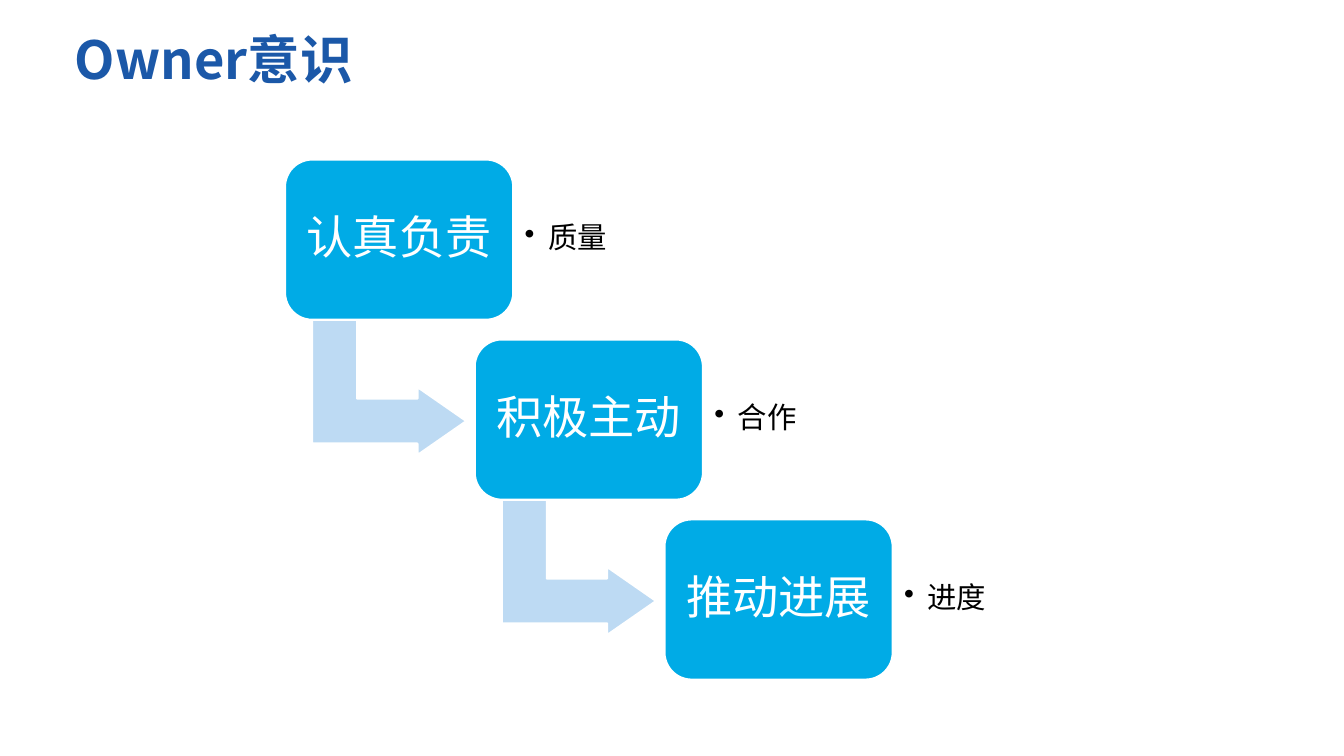
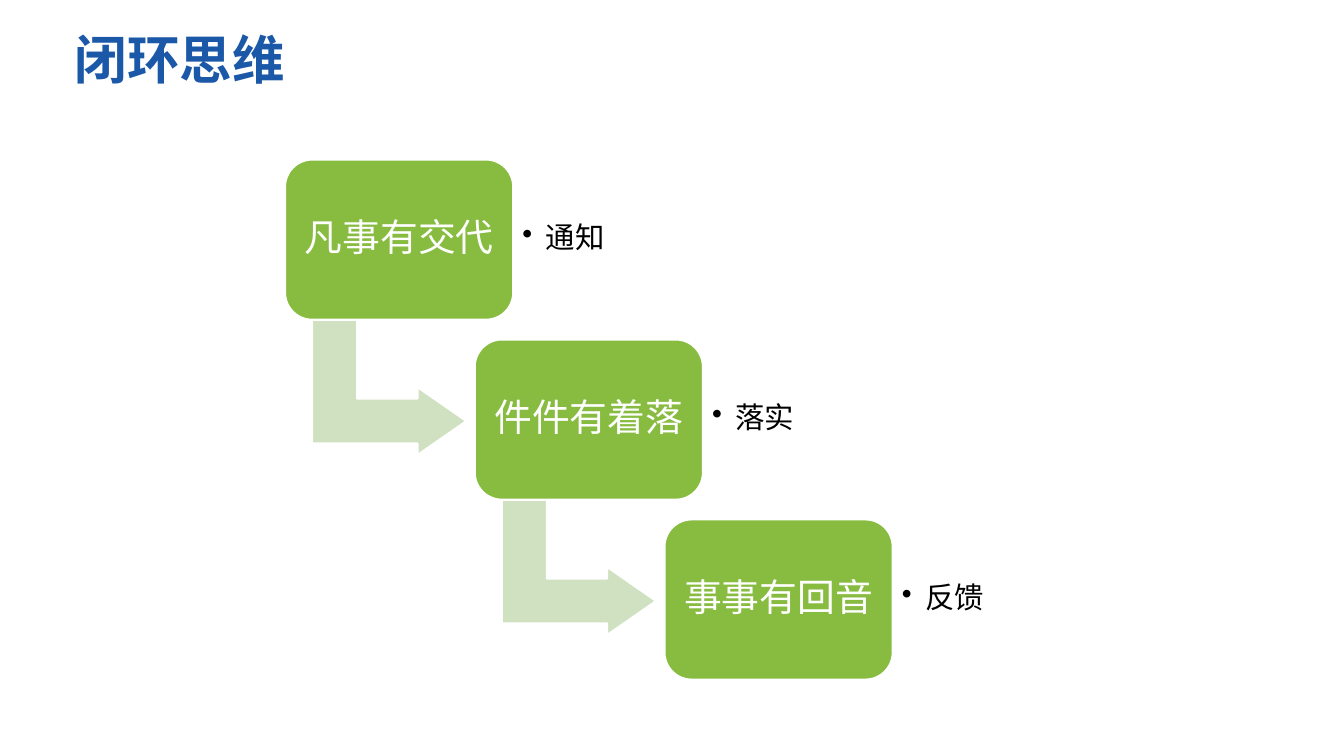
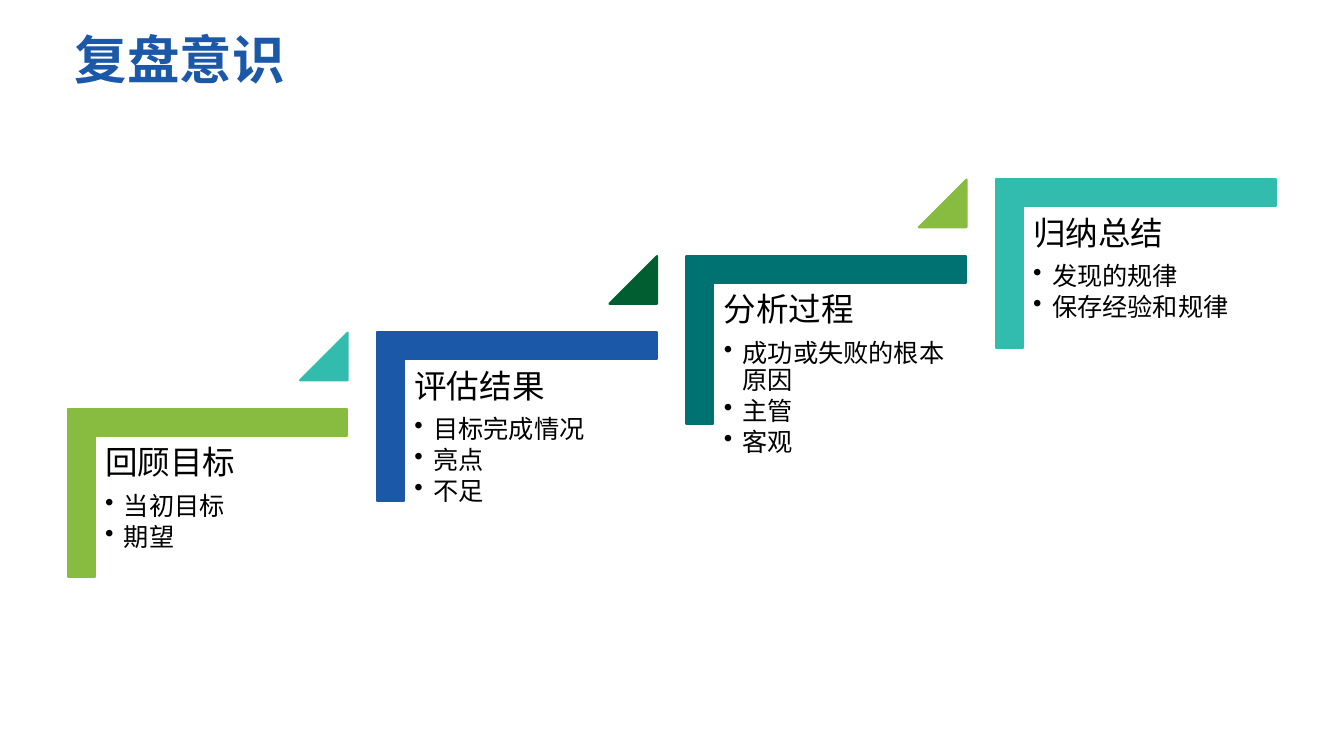
from lxml.etree import SubElement
from pptx import Presentation
from pptx.dml.color import RGBColor
from pptx.enum.shapes import MSO_SHAPE
from pptx.enum.text import MSO_ANCHOR, PP_ALIGN
from pptx.oxml.ns import qn
from pptx.util import Inches, Pt

COLORS = {
    "white": "FFFFFF",
    "black": "000000",
    "blue": "1B58A8",
    "sky": "00ABE6",
    "pale_sky": "BDDAF3",
    "green": "87BC40",
    "pale_green": "CFE1C0",
    "mint": "32BCAD",
    "forest": "005E30",
    "teal": "007272",
}
FONT = "Noto Sans CJK SC"
TITLE_ONLY = 5


class Deck:
    def __init__(self, width, height):
        self.prs = Presentation()
        self.prs.slide_width = Inches(width)
        self.prs.slide_height = Inches(height)
        self.s = None

    def color(self, name):
        return RGBColor.from_string(COLORS[name])

    def slide(self, title):
        self.s = self.prs.slides.add_slide(self.prs.slide_layouts[TITLE_ONLY])
        sp = self.s.shapes.title
        box = {"left": 0.89, "top": 0.4, "width": 16, "height": 1.67}
        for name, value in box.items():
            setattr(sp, name, Inches(value))
        tf = sp.text_frame
        tf.vertical_anchor = MSO_ANCHOR.TOP
        self.paragraph(tf.paragraphs[0], title, 50, "blue", bold=True)

    def paragraph(self, p, text, size, color, after=0, indent=0, **font):
        formats = {
            "alignment": PP_ALIGN.LEFT,
            "line_spacing": 0.9,
            "space_before": Pt(0),
            "space_after": Pt(round(size * after, 1)),
        }
        for name, value in formats.items():
            setattr(p, name, value)
        if indent:
            pPr = p._p.get_or_add_pPr()
            pPr.set("marL", str(Inches(indent)))
            pPr.set("indent", str(-Inches(indent)))
            SubElement(pPr, qn("a:buChar"), char="•")
        r = p.add_run()
        r.text = text
        for name, value in {"name": FONT, "size": Pt(size), **font}.items():
            setattr(r.font, name, value)
        r.font.color.rgb = self.color(color)

    def shape(self, kind, box, fill, line, adjustments, rotation=0):
        sp = self.s.shapes.add_shape(kind, *map(Inches, box))
        sp.shadow.inherit = False
        sp.rotation = rotation
        sp.fill.solid()
        sp.fill.fore_color.rgb = self.color(fill)
        sp.line.color.rgb = self.color(line)
        sp.line.width = Pt(2)
        for i, value in enumerate(adjustments):
            sp.adjustments[i] = value

    def text(self, box, inset, anchor=MSO_ANCHOR.MIDDLE):
        tf = self.s.shapes.add_textbox(*map(Inches, box)).text_frame
        tf.word_wrap = True
        tf.vertical_anchor = anchor
        for side in ("left", "top", "right", "bottom"):
            setattr(tf, f"margin_{side}", Inches(inset))
        return tf

    def label(self, box, inset, text, size):
        p = self.text(box, inset).paragraphs[0]
        self.paragraph(p, text, size, "white", after=0.35)
        p.alignment = PP_ALIGN.CENTER

    def note(self, box, inset, text):
        p = self.text(box, inset).paragraphs[0]
        self.paragraph(p, text, 28, "black", after=0.15, indent=0.31)

    def heading_list(self, box, heading, items):
        tf = self.text(box, 0.13, MSO_ANCHOR.TOP)
        self.paragraph(tf.paragraphs[0], heading, 31, "black", after=0.35)
        for item in items:
            self.paragraph(tf.add_paragraph(), item, 24, "black", after=0.15, indent=0.25)

    def step_down(self, title, steps, fill, arrow, size, label_inset, note_inset):
        self.slide(title)
        for i, (name, note) in enumerate(steps):
            x, y = 3.77 + 2.51 * i, 2.11 + 2.38 * i
            if i < len(steps) - 1:
                self.shape(MSO_SHAPE.BENT_UP_ARROW, (x + 0.48, y + 1.99, 1.8, 2.04),
                           arrow, "white", (0.33, 0.25, 0.36), 90)
            self.shape(MSO_SHAPE.ROUNDED_RECTANGLE, (x, y, 3.02, 2.12),
                       fill, "white", (0.17,))
            self.label((x + 0.1, y + 0.1, 2.82, 1.91), label_inset, name, size)
            self.note((x + 3.02, y + 0.2, 2.2, 1.71), note_inset, note)

    def step_up(self, title, steps):
        self.slide(title)
        for i, (heading, items, fill, marker) in enumerate(steps):
            x, y = 1.26 + 4.093 * i, 5.78 - 1.012 * i
            self.shape(MSO_SHAPE.CORNER, (x + 0.37, y - 1.11, 2.23, 3.7),
                       fill, fill, (0.16, 0.16), 90)
            self.heading_list((x, y, 3.34, 2.93), heading, items)
            if marker:
                self.shape(MSO_SHAPE.ISOSCELES_TRIANGLE, (x + 2.71, y - 1.38, 0.63, 0.63),
                           marker, marker, (1,))


def main():
    deck = Deck(17.78, 10)
    deck.step_down(
        "Owner意识",
        [("认真负责", "质量"), ("积极主动", "合作"), ("推动进展", "进度")],
        "sky", "pale_sky", 44, 0.18, 0.15,
    )
    deck.step_down(
        "闭环思维",
        [("凡事有交代", "通知"), ("件件有着落", "落实"), ("事事有回音", "反馈")],
        "green", "pale_green", 36, 0.15, 0.12,
    )
    deck.step_up("复盘意识", [
        ("回顾目标", ["当初目标", "期望"], "green", "mint"),
        ("评估结果", ["目标完成情况", "亮点", "不足"], "blue", "forest"),
        ("分析过程", ["成功或失败的根本原因", "主管", "客观"], "teal", "green"),
        ("归纳总结", ["发现的规律", "保存经验和规律"], "mint", None),
    ])
    deck.prs.save("out.pptx")


if __name__ == "__main__":
    main()
